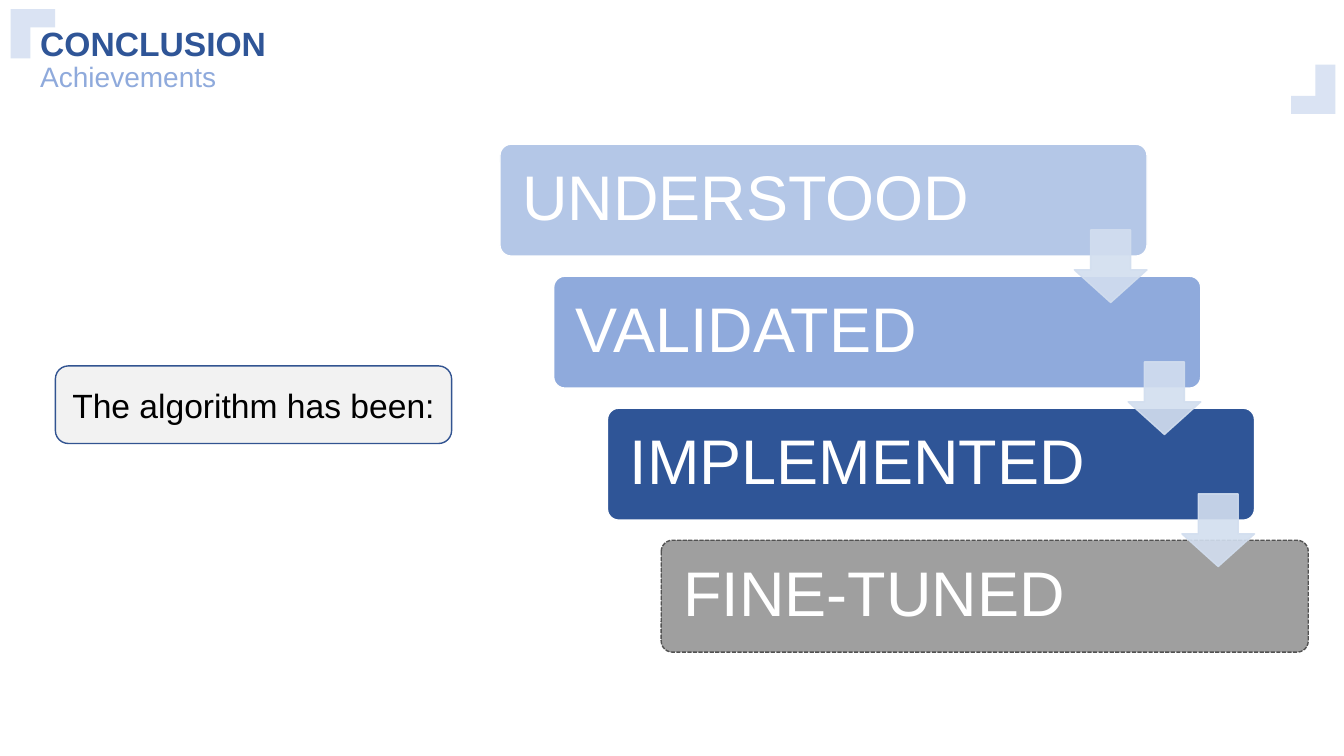
"""Build the conclusion slide with its staircase of achievements."""
from dataclasses import dataclass

from lxml.etree import SubElement
from pptx import Presentation
from pptx.dml.color import RGBColor
from pptx.enum.dml import MSO_LINE
from pptx.enum.shapes import MSO_SHAPE
from pptx.enum.text import MSO_ANCHOR, PP_ALIGN
from pptx.oxml.ns import qn
from pptx.util import Pt


@dataclass(frozen=True)
class Theme:
    font: str = "Arial"
    navy: str = "2F5597"
    blue: str = "8FAADC"
    light: str = "B4C7E7"
    pale: str = "DAE3F3"
    arrow: str = "D2DEEF"
    gray: str = "7C7C7C"
    dark: str = "525252"
    panel: str = "F2F2F2"
    edge: str = "325491"
    white: str = "FFFFFF"
    black: str = "000000"
    step_size: int = 45
    title_size: int = 24
    subtitle_size: int = 20


class Deck:
    def __init__(self, prs, theme):
        self.t = theme
        self.s = prs.slides.add_slide(prs.slide_layouts[6])

    def paint(self, fmt, color, alpha=100):
        fmt.solid()
        fmt.fore_color.rgb = RGBColor.from_string(color)
        if alpha < 100:
            clr = fmt._xPr.find(qn("a:solidFill"))[0]
            SubElement(clr, qn("a:alpha")).set("val", str(alpha * 1000))

    def style(self, font, size, color, bold=False):
        font.name, font.size, font.bold = self.t.font, Pt(size), bold
        font.color.rgb = RGBColor.from_string(color)

    def shape(self, kind, box, fill, line=None, alpha=100, line_alpha=100, adj=()):
        sp = self.s.shapes.add_shape(kind, *map(Pt, box))
        sp.shadow.inherit = False
        self.paint(sp.fill, fill, alpha)
        if line:
            self.paint(sp.line.fill, line, line_alpha)
            sp.line.width = Pt(1)
        else:
            sp.line.fill.background()
        for i, value in enumerate(adj):
            sp.adjustments[i] = value
        return sp

    def label(self, sp, text, size, color, align, inset=7.2):
        tf = sp.text_frame
        tf.word_wrap = True
        tf.vertical_anchor = MSO_ANCHOR.MIDDLE
        tf.margin_left = tf.margin_right = Pt(inset)
        p = tf.paragraphs[0]
        p.text, p.alignment, p.line_spacing = text, align, 0.9
        self.style(p.font, size, color)

    def title(self, box, title, subtitle):
        tf = self.s.shapes.add_textbox(*map(Pt, box)).text_frame
        tf.word_wrap = True
        tf.vertical_anchor = MSO_ANCHOR.BOTTOM
        p = tf.paragraphs[0]
        p.line_spacing = 0.9
        r = p.add_run()
        r.text = title
        self.style(r.font, self.t.title_size, self.t.navy, True)
        p.add_line_break()
        r = p.add_run()
        r.text = subtitle
        self.style(r.font, self.t.subtitle_size, self.t.blue)

    def corner(self, upright, bar):
        for box in (upright, bar):
            self.shape(MSO_SHAPE.RECTANGLE, box, self.t.pale)

    def panel(self, box, text):
        sp = self.shape(MSO_SHAPE.ROUNDED_RECTANGLE, box, self.t.panel, self.t.edge)
        self.label(sp, text, self.t.title_size, self.t.black, PP_ALIGN.CENTER)
        sp.text_frame.paragraphs[0].line_spacing = 1.0

    def staircase(self, left, top, dx, dy, steps):
        corners = [(left + i * dx, top + i * dy) for i in range(len(steps))]
        for (x, y), (text, fill, line, alpha, dash) in zip(corners, steps):
            sp = self.shape(MSO_SHAPE.ROUNDED_RECTANGLE, (x, y, 462.2, 79.9),
                            fill, line, alpha, adj=(0.1,))
            if dash:
                sp.line.dash_style = dash
            self.label(sp, text, self.t.step_size, self.t.white, PP_ALIGN.LEFT, 13.6)
        for x, y in corners[:-1]:
            self.shape(MSO_SHAPE.DOWN_ARROW, (x + 410.3, y + 61.2, 51.9, 51.9),
                       self.t.arrow, self.t.arrow, 90, 90, (0.55, 0.45))


def main():
    prs = Presentation()
    prs.slide_width, prs.slide_height = Pt(960), Pt(540)
    t = Theme()
    deck = Deck(prs, t)
    deck.title((21.6, 21.6, 918, 49), "CONCLUSION", "Achievements")
    deck.corner((7.5, 6.5, 14.2, 35.2), (15, 6.5, 24.5, 13))
    deck.corner((939.6, 46.2, 14.2, 35.2), (922.2, 68.4, 24.5, 13))
    deck.staircase(357.1, 103, 38.4, 94.3, [
        ("UNDERSTOOD", t.light, t.white, 100, None),
        ("VALIDATED", t.blue, t.white, 100, None),
        ("IMPLEMENTED", t.navy, t.white, 100, None),
        ("FINE-TUNED", t.gray, t.dark, 73, MSO_LINE.SQUARE_DOT),
    ])
    deck.panel((39.6, 261.4, 283, 55.4), "The algorithm has been:")
    prs.save("out.pptx")


if __name__ == "__main__":
    main()
